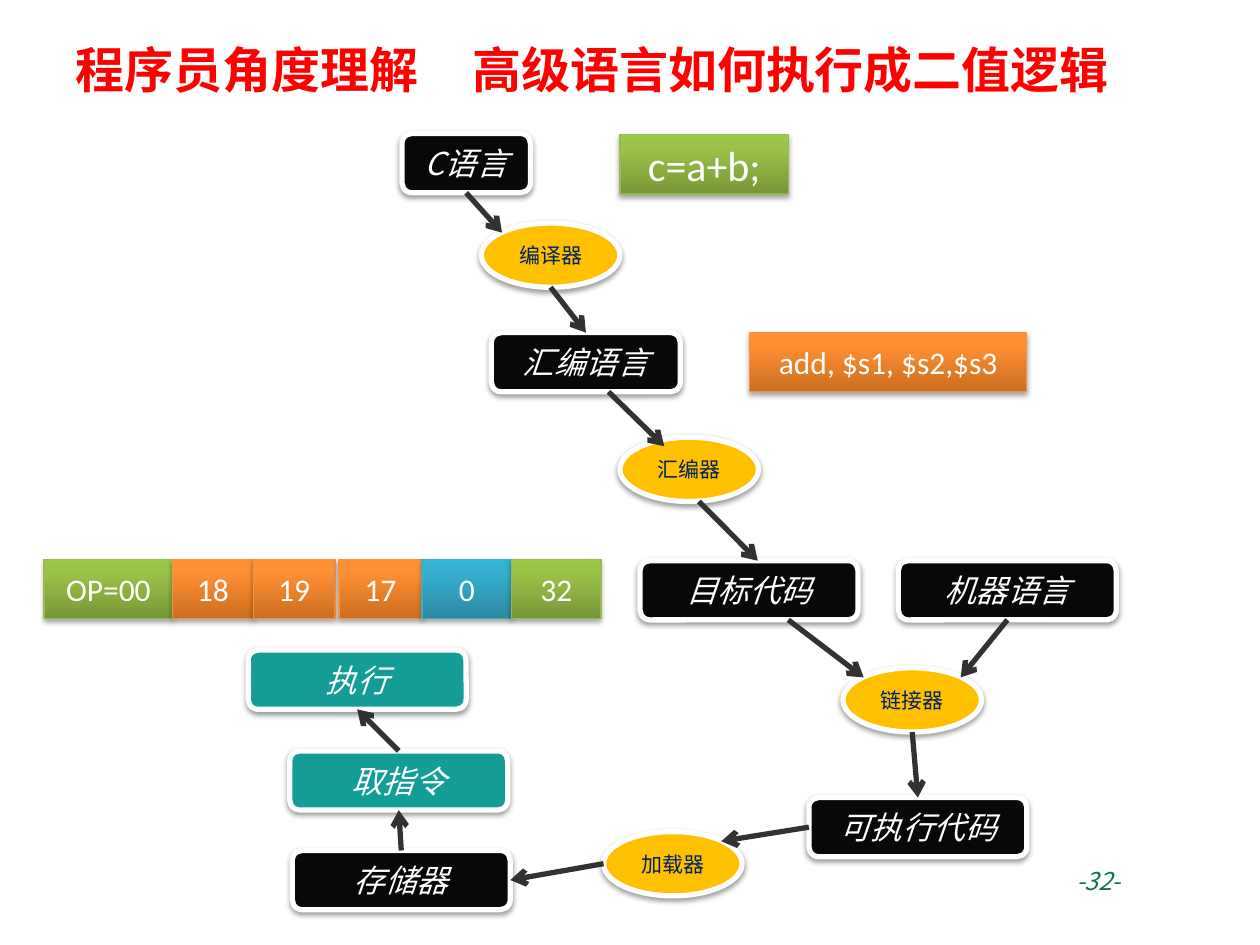
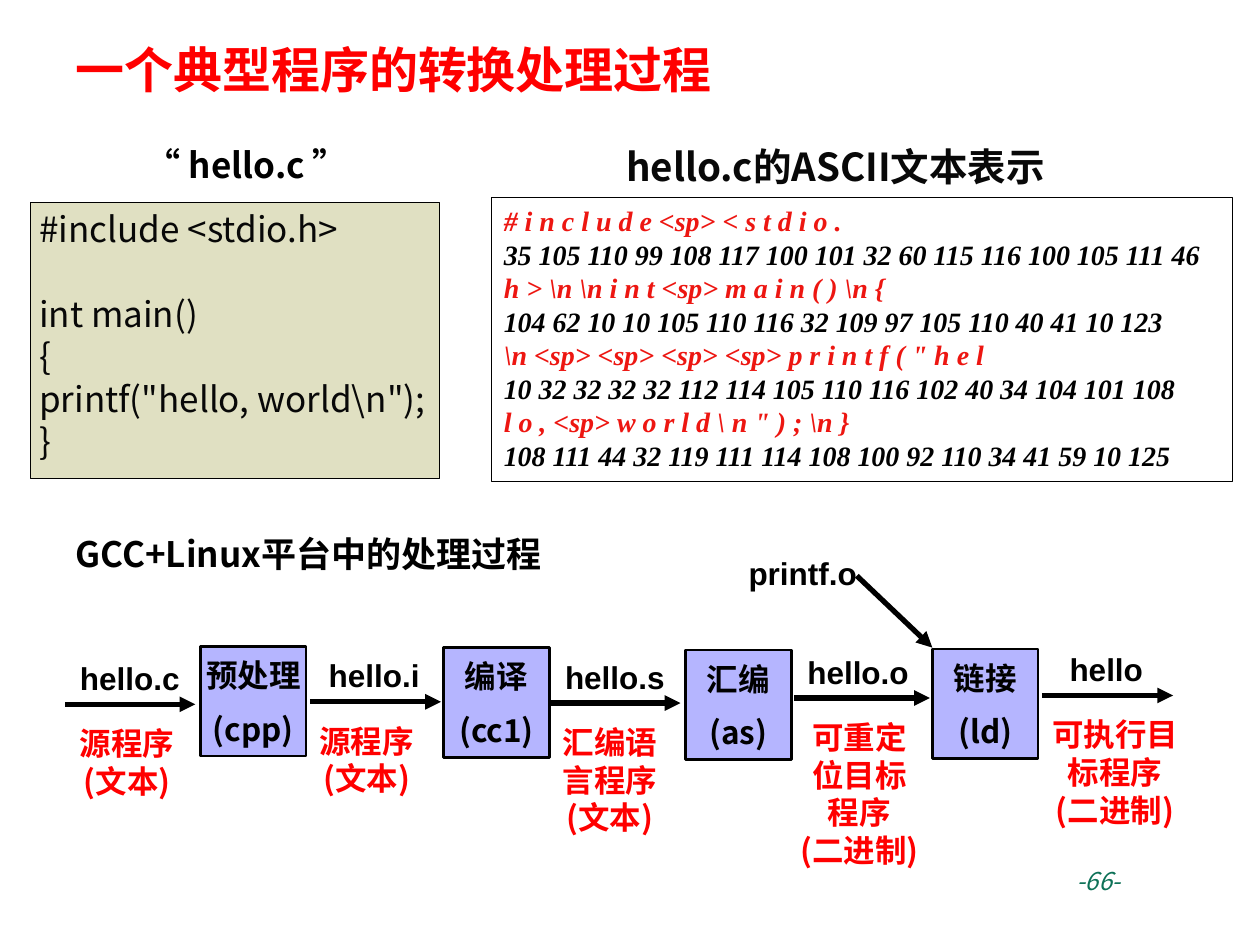
from dataclasses import dataclass, replace

from lxml import etree
from pptx import Presentation
from pptx.dml.color import RGBColor
from pptx.enum.shapes import MSO_CONNECTOR, MSO_SHAPE
from pptx.enum.text import MSO_ANCHOR, PP_ALIGN
from pptx.oxml.ns import qn
from pptx.util import Inches, Pt

LEFT, CENTER, RIGHT, JUSTIFY = PP_ALIGN.LEFT, PP_ALIGN.CENTER, PP_ALIGN.RIGHT, PP_ALIGN.JUSTIFY
TOP, MIDDLE = MSO_ANCHOR.TOP, MSO_ANCHOR.MIDDLE
RECT, ROUND, OVAL = MSO_SHAPE.RECTANGLE, MSO_SHAPE.ROUNDED_RECTANGLE, MSO_SHAPE.OVAL
STRAIGHT = MSO_CONNECTOR.STRAIGHT
SANS = "Noto Sans CJK SC"
INSETS = (0.1, 0.05, 0.1, 0.05)


@dataclass(frozen=True)
class Box:
    """A rectangle in inches."""
    left: float
    top: float
    width: float
    height: float

    def inside(self, x, y, width, height):
        """Return a box placed relative to this one."""
        return Box(self.left + x, self.top + y, width, height)

    def point(self, across, down):
        """Return the point at the given fractions of the sides."""
        return self.left + across * self.width, self.top + down * self.height

    def lengths(self):
        """Return left, top, width and height as lengths."""
        return [Inches(side) for side in (self.left, self.top, self.width, self.height)]


@dataclass(frozen=True)
class Style:
    """Type settings; pitch is a fixed line height in points."""
    size: float
    color: str
    font: str = SANS
    bold: bool = False
    italic: bool = False
    pitch: float = 0


class Theme:
    """Colours and type shared by the slides."""
    black, white = "000000", "FFFFFF"
    arrow, data, tool, run = "323232", "080808", "FFC000", "149C99"
    green = ("98B955", "779737", "9BC348", "9DC746")
    orange = ("F69240", "CC6E20", "FF9034", "FF9136")
    blue = ("46AAC5", "2A88A2", "37B1D2", "34B4D6")
    title = Style(28, "FF0000", bold=True)
    number = Style(14, "0D7157", italic=True)
    node = Style(18, white, italic=True)
    tool_text = Style(12, "002060")
    chip = Style(18, white, "Calibri")
    heading = Style(20, black, bold=True)
    code = Style(20, data, pitch=24.3)
    ascii_codes = Style(16, black, "Times New Roman", True, True, 19.15)
    ascii_chars = replace(ascii_codes, color="ED1611")
    stage = Style(18, black, bold=True, pitch=21.5)
    meaning = replace(stage, color="FF0000")
    file = Style(18, black, "Arial", True)


def add_xml(parent, tag, **attributes):
    """Append a drawing element and return it."""
    return etree.SubElement(parent, qn(tag), attributes)


def write(frame, lines, styles, align=LEFT, anchor=MIDDLE, insets=INSETS, gaps=()):
    """Fill a frame with lines, cycling through the styles."""
    frame.word_wrap = True
    frame.vertical_anchor = anchor
    frame.margin_left, frame.margin_top, frame.margin_right, frame.margin_bottom = map(Inches, insets)
    frame.text = "\n".join(lines)
    for index, para in enumerate(frame.paragraphs):
        style = styles[index % len(styles)]
        para.alignment = align
        if style.pitch:
            para.line_spacing = Pt(style.pitch)
        if index < len(gaps):
            para.space_before = Pt(gaps[index])
        for span in para.runs:
            font = span.font
            font.size, font.bold, font.italic = Pt(style.size), style.bold, style.italic
            font.color.rgb = RGBColor.from_string(style.color)
            font.name = style.font
            add_xml(span._r.get_or_add_rPr(), "a:ea", typeface=style.font)


def add_label(page, box, lines, style, align=CENTER, **layout):
    """Add a text box."""
    label = page.shapes.add_textbox(*box.lengths())
    write(label.text_frame, lines, [style], align, **layout)


def add_block(page, kind, box, fill, edge, weight, alpha=100):
    """Add a flat outlined shape, unfilled when fill is None."""
    block = page.shapes.add_shape(kind, *box.lengths())
    block.shadow.inherit = False
    block.line.color.rgb = RGBColor.from_string(edge)
    block.line.width = Pt(weight)
    if fill is None:
        block.fill.background()
        return block
    block.fill.solid()
    block.fill.fore_color.rgb = RGBColor.from_string(fill)
    if alpha < 100:
        color = block._element.spPr.find(qn("a:solidFill"))[0]
        add_xml(color, "a:alpha", val=str(alpha * 1000))
    return block


def add_shadow(block, alpha, distance):
    """Give a shape a soft shadow below it."""
    effects = block._element.spPr.find(qn("a:effectLst"))
    shadow = add_xml(effects, "a:outerShdw", blurRad=str(Pt(3.1)), dist=str(Pt(distance)),
                     dir="5400000", rotWithShape="0")
    color = add_xml(shadow, "a:srgbClr", val=Theme.black)
    add_xml(color, "a:alpha", val=str(alpha * 1000))


def add_chip(page, box, text, palette, size=18):
    """Add a shaded instruction field."""
    edge, *shades = palette
    chip = add_block(page, RECT, box, shades[0], edge, 0.75)
    chip.fill.gradient()
    chip.fill.gradient_angle = 90
    stops = chip._element.spPr.find(qn("a:gradFill")).find(qn("a:gsLst"))
    for stop in list(stops):
        stops.remove(stop)
    for position, shade in zip((0, 80, 100), shades):
        stop = add_xml(stops, "a:gs", pos=str(position * 1000))
        add_xml(stop, "a:srgbClr", val=shade)
    add_shadow(chip, 35, 1.8)
    write(chip.text_frame, [text], [replace(Theme.chip, size=size)], CENTER)


def add_arrow(page, start, end, color=Theme.black, head="triangle"):
    """Add a straight arrow between two points."""
    line = page.shapes.add_connector(STRAIGHT, *map(Inches, (*start, *end)))
    line.line.color.rgb = RGBColor.from_string(color)
    line.line.width = Pt(3)
    add_xml(line.line._get_or_add_ln(), "a:tailEnd", type=head)
    add_xml(line._element.spPr, "a:effectLst")


def add_page(deck, title, number, tab=None):
    """Add a slide with its title and page number."""
    page = deck.slides.add_slide(deck.slide_layouts[5])
    heading = page.shapes.title
    heading.left, heading.top, heading.width, heading.height = Box(0.5, 0.23, 9, 0.64).lengths()
    write(heading.text_frame, [title], [Theme.title])
    if tab:
        stops = add_xml(heading.text_frame.paragraphs[0]._p.get_or_add_pPr(), "a:tabLst")
        add_xml(stops, "a:tab", pos=str(Inches(tab)), algn="l")
    add_label(page, Box(8.39, 6.82, 1.11, 0.52), [f"-{number}-"], Theme.number, LEFT,
              anchor=TOP, insets=(0.15, 0.05, 0.1, 0.05))
    return page


def draw_machine_word(page, box):
    """Draw the fields of the encoded instruction."""
    fields = [("OP=00", 0, 1.02, Theme.green), ("18", 1.02, 0.64, Theme.orange),
              ("19", 1.66, 0.65, Theme.orange), ("17", 2.34, 0.66, Theme.orange),
              ("0", 3, 0.71, Theme.blue), ("32", 3.71, 0.71, Theme.green)]
    for text, x, width, palette in fields:
        add_chip(page, box.inside(x, 0, width, box.height), text, palette)


def draw_translation_flow(page, box):
    """Draw the path from source code to execution."""
    data = (ROUND, Theme.data, Theme.node, 0.47)
    tool = (OVAL, Theme.tool, Theme.tool_text, 0.51)
    run = (ROUND, Theme.run, Theme.node, 0.47)
    nodes = [("C语言", data, 1.22, 0, 1.02), ("编译器", tool, 1.85, 0.71, 1.1),
             ("汇编语言", data, 1.93, 1.58, 1.5), ("汇编器", tool, 2.95, 2.41, 1.1),
             ("目标代码", data, 3.11, 3.39, 1.73), ("机器语言", data, 5.16, 3.39, 1.73),
             ("链接器", tool, 4.72, 4.24, 1.1), ("可执行代码", data, 4.45, 5.27, 1.73),
             ("加载器", tool, 2.82, 5.54, 1.1), ("存储器", data, 0.35, 5.69, 1.73),
             ("取指令", run, 0.33, 4.9, 1.73), ("执行", run, 0, 4.1, 1.73)]
    top, bottom, start, end = (0.5, 0), (0.5, 1), (0, 0.5), (1, 0.5)
    upper_left, upper_right = (0.15, 0.15), (0.85, 0.15)
    links = [("C语言", bottom, "编译器", upper_left), ("编译器", bottom, "汇编语言", top),
             ("汇编语言", (0.62, 1), "汇编器", (0.32, 0.14)),
             ("汇编器", (0.57, 1), "目标代码", (0.54, 0)),
             ("目标代码", (0.68, 1), "链接器", upper_left),
             ("机器语言", bottom, "链接器", upper_right), ("链接器", bottom, "可执行代码", top),
             ("可执行代码", start, "加载器", upper_right), ("加载器", start, "存储器", end),
             ("存储器", top, "取指令", bottom), ("取指令", top, "执行", bottom)]
    places = {}
    for name, (kind, fill, style, height), x, y, width in nodes:
        places[name] = box.inside(x, y, width, height)
        node = add_block(page, kind, places[name], fill, Theme.white, 3)
        add_shadow(node, 38, 1.6)
        write(node.text_frame, [name], [style], CENTER, insets=(0, 0.05, 0, 0.05))
    for source, leave, target, arrive in links:
        add_arrow(page, places[source].point(*leave), places[target].point(*arrive),
                  Theme.arrow, "arrow")


def draw_source_code(page, box):
    """Draw the program listing under its file name."""
    lines = ["#include <stdio.h>", "int main()", "{", r'printf("hello, world\n");', "}"]
    panel = add_block(page, RECT, box.inside(0.24, 0.52, 3.25, 2.19), "808000", Theme.black, 0.75, 24)
    write(panel.text_frame, lines, [Theme.code], anchor=TOP, insets=(0.07, 0.03, 0.07, 0.03),
          gaps=(0, Theme.code.pitch))
    add_label(page, box.inside(0, 0, 3.92, 0.43), ["“ hello.c ”"], Theme.heading)


def draw_ascii_dump(page, box):
    """Draw the characters of the file above their codes."""
    lines = ["# i n c l u d e <sp> < s t d i o .",
             "35 105 110 99 108 117 100 101 32 60 115 116 100 105 111 46",
             r"h > \n \n i n t <sp> m a i n ( ) \n {",
             "104 62 10 10 105 110 116 32 109 97 105 110 40 41 10 123",
             r'\n <sp> <sp> <sp> <sp> p r i n t f ( " h e l',
             "10 32 32 32 32 112 114 105 110 116 102 40 34 104 101 108",
             r'l o , <sp> w o r l d \ n " ) ; \n }',
             "108 111 44 32 119 111 114 108 100 92 110 34 41 59 10 125"]
    panel = add_block(page, RECT, box.inside(0, 0.49, 5.88, 2.25), None, Theme.black, 0.75)
    write(panel.text_frame, lines, [Theme.ascii_chars, Theme.ascii_codes], JUSTIFY, TOP)
    add_label(page, box.inside(0, 0, 5.46, 0.47), ["hello.c的ASCII文本表示"],
              replace(Theme.heading, size=22, color=Theme.data))


def draw_toolchain(page, box):
    """Draw the four build stages and the files between them."""
    stages = [("预处理", "(cpp)", 1.09, 0.95), ("编译", "(cc1)", 3.02, 0.96),
              ("汇编", "(as)", 4.94, 0.98), ("链接", "(ld)", 6.9, 0.97)]
    files = [("hello.c", "源程序", "(文本)", 0.02, 1.03, 1.41, -0.06, 1.1),
             ("hello.i", "源程序", "(文本)", 1.96, 1.04, 1.39, -0.1, 1.1),
             ("hello.s", "汇编语言程序", "(文本)", 3.87, 1.03, 1.4, -0.08, 1.1),
             ("hello.o", "可重定位目标程序", "(二进制)", 5.8, 1.08, 1.36, -0.06, 1.16),
             ("hello", "可执行目标程序", "(二进制)", 7.77, 1.04, 1.34, -0.03, 1.22)]
    add_label(page, box.inside(0, 0, 5.05, 0.43), ["GCC+Linux平台中的处理过程"], Theme.heading, LEFT)
    for name, command, x, y in stages:
        stage = add_block(page, RECT, box.inside(x, y, 0.84, 0.87), "0000FF", Theme.black, 1.5, 29)
        write(stage.text_frame, [name, command], [Theme.stage], CENTER, TOP,
              (0, 0.08, 0, 0.05), (0, 9))
    for name, meaning, form, x, length, y, shift, width in files:
        track = box.inside(x, y, length, 0)
        add_arrow(page, track.point(0, 0), track.point(1, 0))
        add_label(page, track.inside(0, -0.41, 1.02, 0.4), [name], Theme.file)
        add_label(page, track.inside(shift, 0.08, width, 1), [meaning, form], Theme.meaning,
                  anchor=TOP, insets=(0.1, 0.08, 0.1, 0.05))
    library = box.inside(5.27, 0.17, 1.13, 0.4)
    add_label(page, library, ["printf.o"], Theme.file, RIGHT)
    entry = box.inside(6.3, 0.39, 0.6, 0.57)
    add_arrow(page, entry.point(0, 0), entry.point(1, 1))


def main():
    """Build the deck."""
    deck = Presentation()
    deck.slide_width, deck.slide_height = Inches(10), Inches(7.5)

    page = add_page(deck, "程序员角度理解\t高级语言如何执行成二值逻辑", 32, tab=3.15)
    add_chip(page, Box(4.92, 1.07, 1.34, 0.47), "c=a+b;", Theme.green, 24)
    add_chip(page, Box(5.95, 2.64, 2.2, 0.47), "add, $s1, $s2,$s3", Theme.orange)
    draw_machine_word(page, Box(0.35, 4.44, 4.42, 0.47))
    draw_translation_flow(page, Box(1.97, 1.06, 6.89, 6.16))

    page = add_page(deck, "一个典型程序的转换处理过程", 66)
    draw_source_code(page, Box(0, 1.09, 3.92, 2.71))
    draw_ascii_dump(page, Box(3.9, 1.08, 5.88, 2.74))
    draw_toolchain(page, Box(0.5, 4.18, 8.96, 2.75))
    deck.save("out.pptx")


if __name__ == "__main__":
    main()
